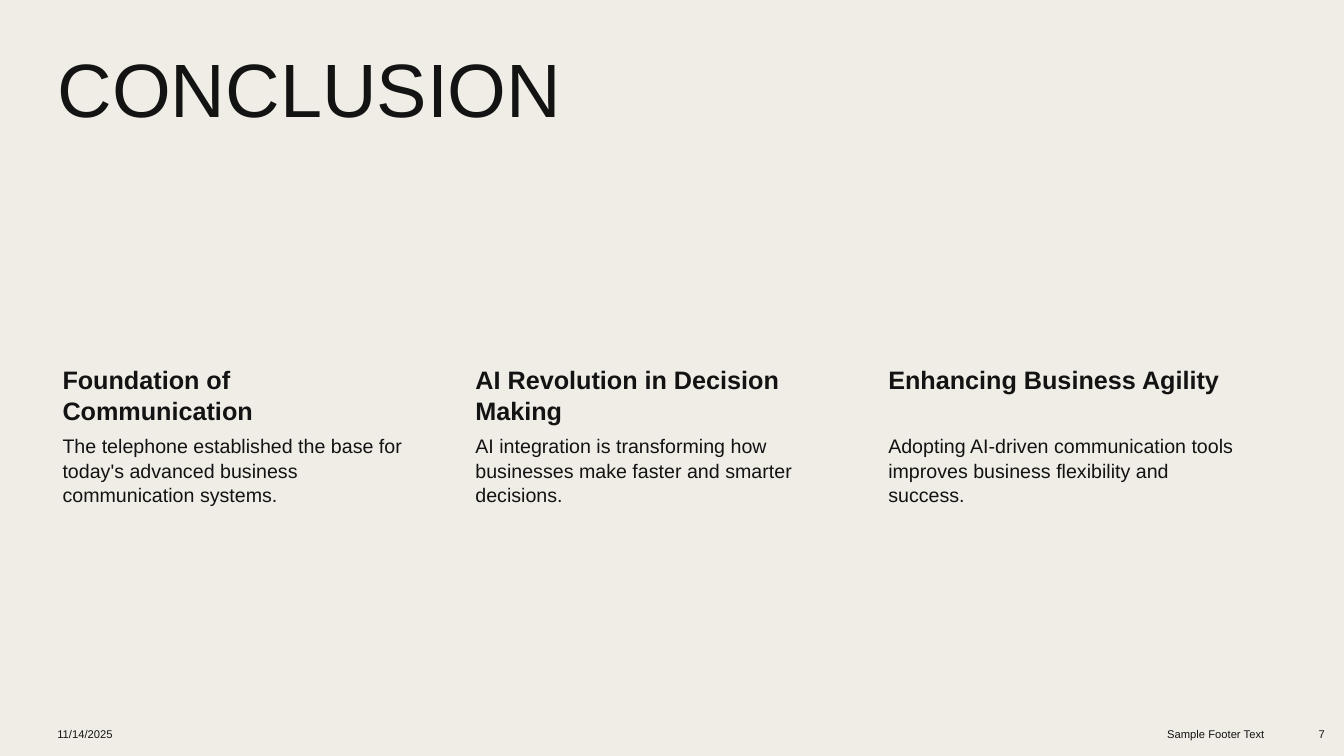
import pptx
import pptx.util
import pptx.dml.color
import pptx.enum.text
from dataclasses import dataclass

Inches, Pt = pptx.util.Inches, pptx.util.Pt
ALIGN, ANCHOR = pptx.enum.text.PP_ALIGN, pptx.enum.text.MSO_ANCHOR


@dataclass
class Theme:
    paper = pptx.dml.color.RGBColor.from_string("F0EDE6")
    ink = pptx.dml.color.RGBColor.from_string("131313")
    font = "Arial"
    title = 54
    heading = 18
    body = 14
    footer = 8


theme = Theme()


def write(box, text, size, bold=False, align=ALIGN.LEFT, anchor=ANCHOR.TOP,
          line=1.0, after=0, insets=(0.1, 0.05, 0.1, 0.05)):
    frame = box.text_frame
    frame.word_wrap = True
    frame.auto_size = pptx.enum.text.MSO_AUTO_SIZE.NONE
    frame.vertical_anchor = anchor
    (frame.margin_left, frame.margin_top,
     frame.margin_right, frame.margin_bottom) = map(Inches, insets)
    paragraph = frame.paragraphs[0]
    paragraph.alignment = align
    paragraph.line_spacing = line
    paragraph.space_before = Pt(0)
    paragraph.space_after = Pt(after)
    run = paragraph.add_run()
    run.text = text
    run.font.name = theme.font
    run.font.size = Pt(size)
    run.font.bold = bold
    run.font.color.rgb = theme.ink


# Slide and background
deck = pptx.Presentation()
deck.slide_width, deck.slide_height = Inches(13.33), Inches(7.5)
slide = deck.slides.add_slide(deck.slide_layouts[5])
slide.background.fill.solid()
slide.background.fill.fore_color.rgb = theme.paper

# Grid: three equal columns between the side margins
margin, content_width, column_width = 0.47, 11.91, 3.72
heading_top, heading_height, body_height = 3.57, 0.71, 2.39

# Title
title = slide.shapes.title
title.left, title.top = Inches(margin), Inches(margin)
title.width, title.height = Inches(content_width), Inches(1.78)
write(title, "CONCLUSION", theme.title, line=0.9)

# Takeaways
takeaways = [
    ("Foundation of Communication",
     "The telephone established the base for today's advanced business communication systems."),
    ("AI Revolution in Decision Making",
     "AI integration is transforming how businesses make faster and smarter decisions."),
    ("Enhancing Business Agility",
     "Adopting AI-driven communication tools improves business flexibility and success."),
]
column_step = (content_width - column_width) / (len(takeaways) - 1)
for column, (heading, body) in enumerate(takeaways):
    left = margin + column * column_step
    heading_box = slide.shapes.add_textbox(
        Inches(left), Inches(heading_top), Inches(column_width), Inches(heading_height))
    write(heading_box, heading, theme.heading, bold=True, line=1.04,
          insets=(0.15, 0.03, 0.03, 0.03))
    body_box = slide.shapes.add_textbox(
        Inches(left), Inches(heading_top + heading_height),
        Inches(column_width), Inches(body_height))
    write(body_box, body, theme.body, line=1.04, insets=(0.15, 0.02, 0.02, 0.02))

# Footer: date, footer text, slide number
for left, width, text, align in [
    (margin, 3.11, "11/14/2025", ALIGN.LEFT),
    (9.73, 2.91, "Sample Footer Text", ALIGN.RIGHT),
    (12.74, 0.5, "7", ALIGN.RIGHT),
]:
    footer_box = slide.shapes.add_textbox(
        Inches(left), Inches(7.1), Inches(width), Inches(0.37))
    write(footer_box, text, theme.footer, align=align, anchor=ANCHOR.MIDDLE, after=6)

deck.save("out.pptx")
